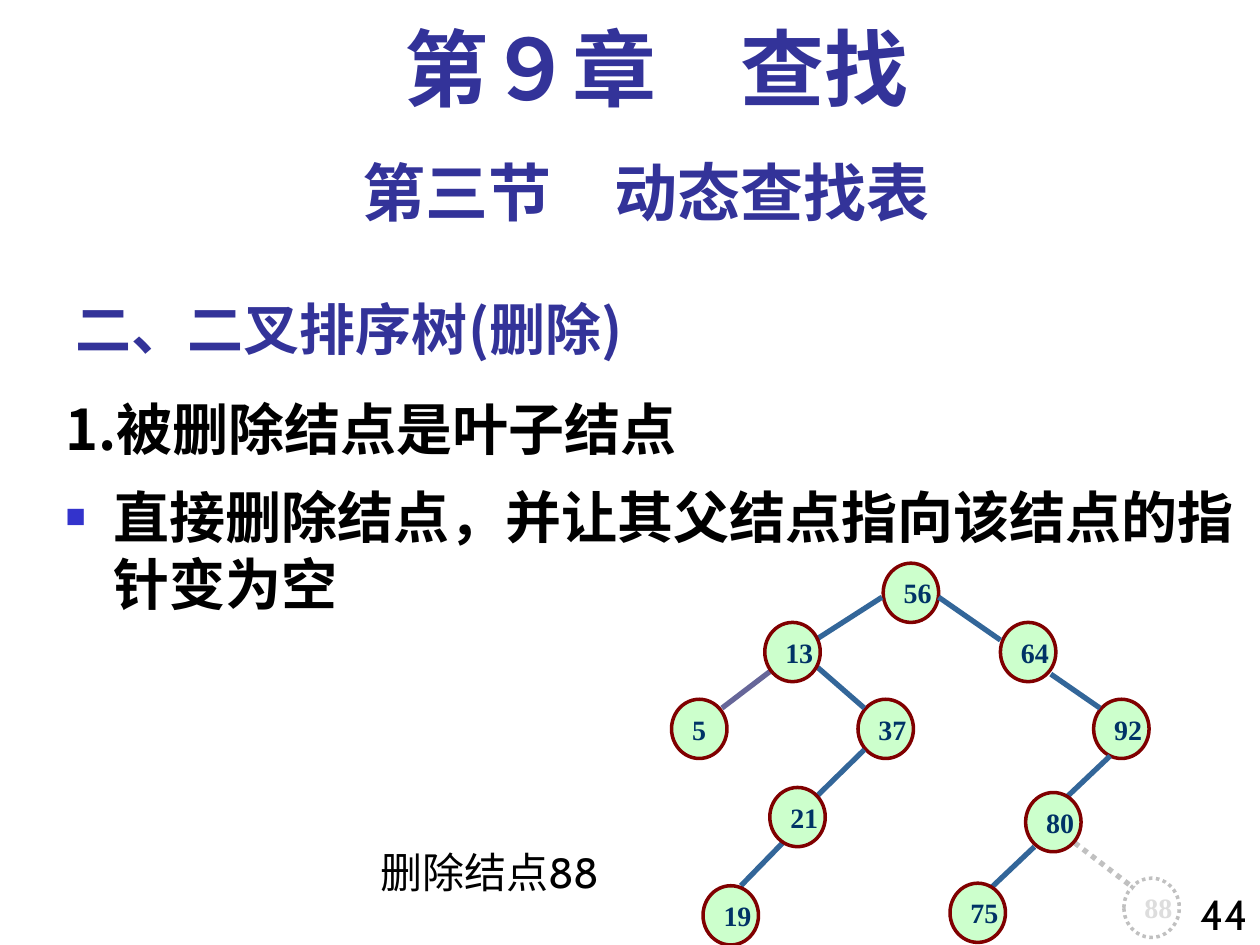
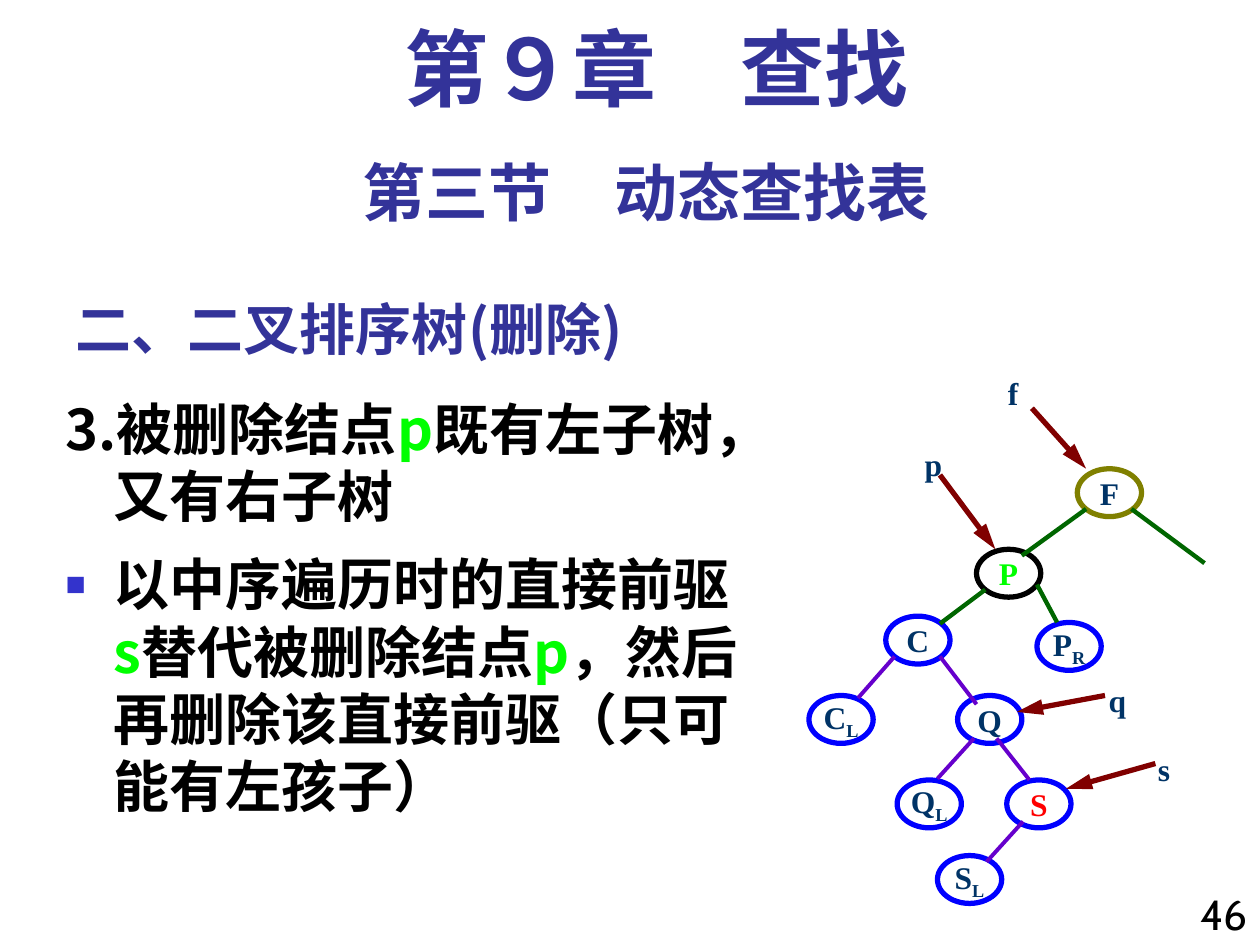
"""Two slides on deleting nodes from a binary search tree."""
from lxml.etree import SubElement
from pptx import Presentation
from pptx.dml.color import RGBColor
from pptx.enum.dml import MSO_LINE
from pptx.enum.shapes import MSO_CONNECTOR, MSO_SHAPE
from pptx.enum.text import MSO_ANCHOR, MSO_AUTO_SIZE, PP_ALIGN
from pptx.oxml.ns import qn
from pptx.util import Inches, Pt

BLACK = RGBColor(0x00, 0x00, 0x00)
WHITE = RGBColor(0xFF, 0xFF, 0xFF)
INDIGO = RGBColor(0x33, 0x33, 0x99)
BULLET = "3333CC"
NAVY = RGBColor(0x00, 0x33, 0x66)
MINT = RGBColor(0xCC, 0xFF, 0xCC)
MAROON = RGBColor(0x80, 0x00, 0x00)
STEEL = RGBColor(0x33, 0x66, 0x99)
SLATE = RGBColor(0x66, 0x66, 0x99)
SILVER = RGBColor(0xC0, 0xC0, 0xC0)
PALE = RGBColor(0xDD, 0xDD, 0xDD)
LIME = RGBColor(0x00, 0xFF, 0x00)
RED = RGBColor(0xFF, 0x00, 0x00)
BLUE = RGBColor(0x00, 0x00, 0xFF)
OLIVE = RGBColor(0x80, 0x80, 0x00)
GREEN = RGBColor(0x00, 0x66, 0x00)
PURPLE = RGBColor(0x66, 0x00, 0xCC)

SANS, SERIF, LABEL = "Noto Sans CJK SC", "Times New Roman", "Cabin"
CHAPTER = "第９章　查找"
SECTION = "第三节　动态查找表"
TOPIC = "二、二叉排序树(删除)"

LEAF_POINTS = [
    [("1.被删除结点是叶子结点", BLACK)],
    [("直接删除结点，并让其父结点指向该结点的指针变为空", BLACK)],
]
TWO_CHILD_POINTS = [
    [("3.被删除结点", BLACK), ("p", LIME), ("既有左子树，又有右子树", BLACK)],
    [("以中序遍历时的直接前驱", BLACK), ("s", LIME), ("替代被删除结点", BLACK),
     ("p", LIME), ("，然后再删除该直接前驱（只可能有左孩子）", BLACK)],
]

KEY_SIZE = (0.44, 0.47)
BACK_KEYS = {"56": (7.01, 4.47), "64": (7.94, 4.94), "5": (5.33, 5.55),
             "92": (8.68, 5.55), "37": (6.81, 5.55)}
FRONT_KEYS = {"19": (5.58, 7.03), "80": (8.14, 6.29), "21": (6.11, 6.25),
              "13": (6.07, 4.94), "75": (7.54, 7.01)}
DELETED_KEY = ("88", (8.92, 6.97))
KEY_EDGES = [
    (7, 4.74, 6.47, 5.08), (7.45, 4.74, 7.94, 5.08), (6.47, 5.28, 6.86, 5.62),
    (6.86, 5.95, 6.38, 6.42), (8.34, 5.35, 8.73, 5.62), (8.81, 6, 8.43, 6.36),
    (6.27, 6.63, 5.88, 7.03), (8.21, 6.72, 7.83, 7.08),
]
LEAF_EDGE = (6.11, 5.33, 5.73, 5.62)
DELETED_EDGE = (8.53, 6.69, 9, 7.05)

SUBTREE_SIZE = (0.51, 0.38)
SUBTREES = [
    ("F", "", (8.55, 3.72), OLIVE, NAVY), ("P", "", (7.75, 4.36), BLACK, LIME),
    ("C", "", (7.03, 4.89), BLUE, NAVY), ("P", "R", (8.23, 4.94), BLUE, NAVY),
    ("C", "L", (6.42, 5.52), BLUE, NAVY), ("Q", "", (7.6, 5.52), BLUE, NAVY),
    ("Q", "L", (7.12, 6.19), BLUE, NAVY), ("S", "", (7.99, 6.19), BLUE, RED),
    ("S", "L", (7.44, 6.79), BLUE, NAVY),
]
UPPER_EDGES = [(7.82, 4.68, 7.46, 4.95), (8.62, 4.04, 8.11, 4.41),
               (8.98, 4.04, 9.56, 4.47), (8.23, 4.64, 8.39, 4.94)]
LOWER_EDGES = [(7.1, 5.21, 6.81, 5.54), (7.46, 5.21, 7.75, 5.59), (7.73, 5.86, 7.44, 6.18),
               (7.91, 5.86, 8.17, 6.19), (8.12, 6.52, 7.83, 6.84)]
POINTERS = [
    ("f", (7.9, 2.92, 0.32, 0.4), (8.19, 3.24, 8.62, 3.72)),
    ("p", (7.24, 3.48, 0.34, 0.4), (7.46, 3.77, 7.9, 4.36)),
    ("q", (8.7, 5.36, 0.34, 0.4), (8.77, 5.52, 8.07, 5.65)),
    ("s", (9.09, 5.9, 0.29, 0.4), (9.17, 6.06, 8.46, 6.26)),
]


def style(para, size, font, color, bold=True):
    for span in para.runs:
        span.font.size, span.font.bold, span.font.name = Pt(size), bold, font
        span.font.color.rgb = color
        SubElement(span.font._element, qn("a:ea"), typeface=SANS)


def place(shape, left, top, width, height):
    shape.left, shape.top = Inches(left), Inches(top)
    shape.width, shape.height = Inches(width), Inches(height)


def add_text(page, text, area, size, font, color, bold=True, align=PP_ALIGN.LEFT, wrap=True):
    box = page.shapes.add_textbox(*map(Inches, area))
    box.text_frame.text = text
    box.text_frame.word_wrap = wrap
    para = box.text_frame.paragraphs[0]
    para.alignment = align
    style(para, size, font, color, bold)
    return para


def set_bullet(para, bulleted):
    properties = para._p.get_or_add_pPr()
    properties.set("marL", str(Inches(0.38)))
    properties.set("indent", str(-Inches(0.38)))
    if bulleted:
        SubElement(SubElement(properties, qn("a:buClr")), qn("a:srgbClr"), val=BULLET)
        SubElement(properties, qn("a:buSzPct"), val="60000")
        SubElement(properties, qn("a:buChar"), char="■")
    else:
        SubElement(properties, qn("a:buNone"))


def fill_body(body, points):
    frame = body.text_frame
    frame.auto_size = MSO_AUTO_SIZE.NONE
    for index, spans in enumerate(points):
        para = frame.add_paragraph() if index else frame.paragraphs[0]
        set_bullet(para, index > 0)
        para.space_before = Pt(12 if index else 0)
        for text, _ in spans:
            para.add_run().text = text
        style(para, 32, SANS, BLACK)
        for span, (_, color) in zip(para.runs, spans):
            span.font.color.rgb = color


def add_page(deck, number, points, body_width):
    page = deck.slides.add_slide(deck.slide_layouts[1])
    title, body = page.placeholders
    place(title, 0.5, 2.17, 6.25, 0.75)
    title.text_frame.text = TOPIC
    title.text_frame.auto_size = MSO_AUTO_SIZE.NONE
    title.text_frame.vertical_anchor = MSO_ANCHOR.BOTTOM
    title.text_frame.paragraphs[0].alignment = PP_ALIGN.LEFT
    style(title.text_frame.paragraphs[0], 32, SANS, INDIGO)
    place(body, 0.42, 3.08, body_width, 4.42)
    fill_body(body, points)
    add_text(page, number, (9.33, 7, 0.67, 0.59), 24, LABEL, BLACK, False, PP_ALIGN.RIGHT)
    add_text(page, SECTION, (0.5, 1.17, 9.25, 0.7), 36, LABEL, INDIGO, align=PP_ALIGN.CENTER)
    chapter = add_text(page, CHAPTER, (0.67, 0.17, 9.08, 0.83), 48, SERIF, INDIGO,
                       align=PP_ALIGN.CENTER)
    chapter.line_spacing = 0.9
    return page


def add_node(page, text, corner, size, border, weight, color, points, fill=None,
             align=PP_ALIGN.LEFT):
    node = page.shapes.add_shape(MSO_SHAPE.OVAL, *map(Inches, corner + size))
    node.shadow.inherit = False
    if fill is None:
        node.fill.background()
    else:
        node.fill.solid()
        node.fill.fore_color.rgb = fill
    node.line.color.rgb, node.line.width = border, Pt(weight)
    node.text_frame.text = text
    node.text_frame.word_wrap = False
    node.text_frame.vertical_anchor = MSO_ANCHOR.MIDDLE
    para = node.text_frame.paragraphs[0]
    para.alignment = align
    style(para, points, SERIF, color)
    return node


def add_edge(page, ends, color, weight, arrow=False):
    edge = page.shapes.add_connector(MSO_CONNECTOR.STRAIGHT, *map(Inches, ends))
    edge.line.color.rgb, edge.line.width = color, Pt(weight)
    if arrow:
        SubElement(edge.line._get_or_add_ln(), qn("a:tailEnd"), type="triangle", len="lg")
    SubElement(edge._element.spPr, qn("a:effectLst"))
    return edge


def add_keys(page, keys):
    for key, corner in keys.items():
        add_node(page, key, corner, KEY_SIZE, MAROON, 2, NAVY, 16, MINT)


def draw_leaf_tree(page):
    add_keys(page, BACK_KEYS)
    key, corner = DELETED_KEY
    deleted = add_node(page, key, corner, KEY_SIZE, SILVER, 2, PALE, 16, WHITE)
    for ends in KEY_EDGES:
        add_edge(page, ends, STEEL, 3)
    add_edge(page, LEAF_EDGE, SLATE, 3)
    for dotted in (deleted, add_edge(page, DELETED_EDGE, SILVER, 3)):
        dotted.line.dash_style = MSO_LINE.ROUND_DOT
    add_keys(page, FRONT_KEYS)
    add_text(page, "删除结点88", (2.92, 6.67, 2.08, 0.5), 24, LABEL, BLACK, False)


def draw_two_child_tree(page):
    for name, suffix, corner, border, color in SUBTREES:
        node = add_node(page, name, corner, SUBTREE_SIZE, border, 3, color, 18,
                        align=PP_ALIGN.CENTER)
        if suffix:
            para = node.text_frame.paragraphs[0]
            para.add_run().text = suffix
            style(para, 18, SERIF, color)
            para.runs[1].font._element.set("baseline", "-25000")
    for ends in UPPER_EDGES:
        add_edge(page, ends, GREEN, 2.5)
    for ends in LOWER_EDGES:
        add_edge(page, ends, PURPLE, 2.25)
    for name, area, ends in POINTERS:
        add_text(page, name, area, 18, SERIF, NAVY, wrap=False)
        add_edge(page, ends, MAROON, 3, arrow=True)


def main():
    deck = Presentation()
    deck.slide_width, deck.slide_height = Inches(10), Inches(7.5)
    draw_leaf_tree(add_page(deck, "44", LEAF_POINTS, 9.58))
    draw_two_child_tree(add_page(deck, "46", TWO_CHILD_POINTS, 5.67))
    deck.save("out.pptx")


if __name__ == "__main__":
    main()
